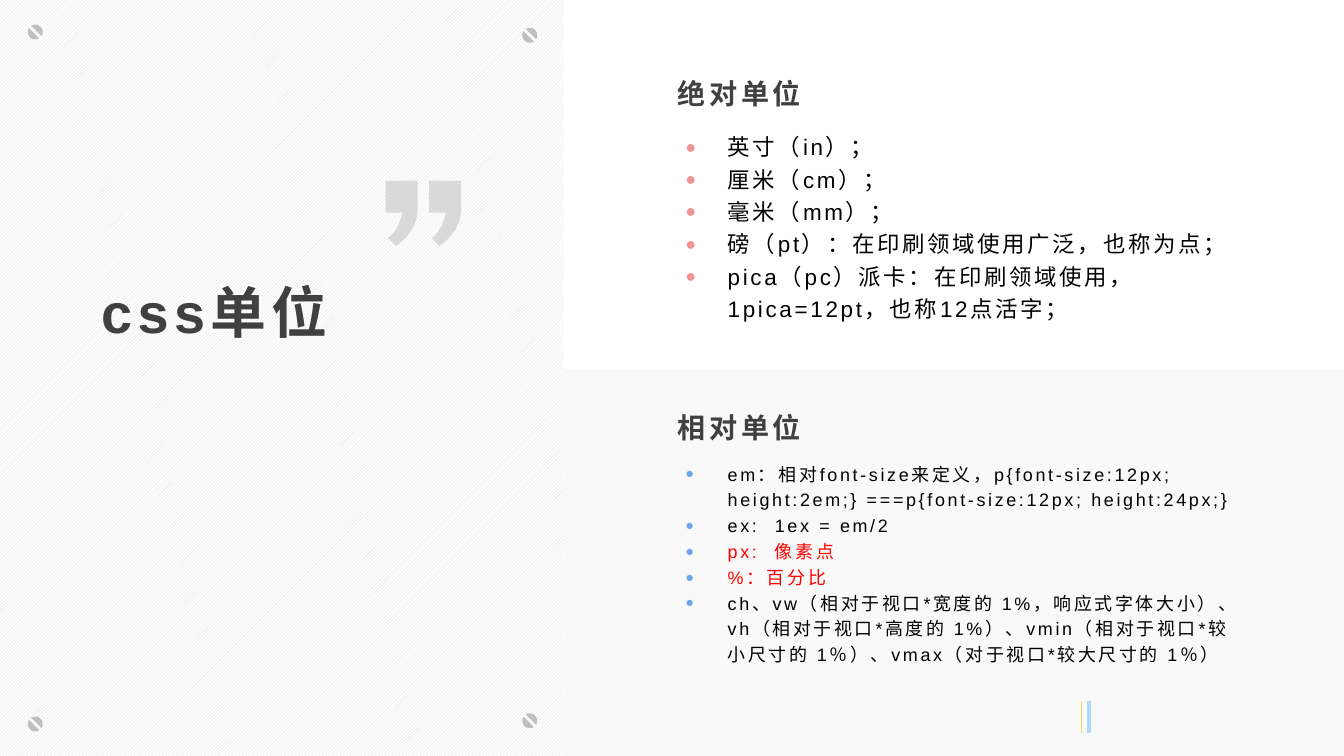
from math import cos, radians, sin

from lxml import etree
from pptx import Presentation
from pptx.dml.color import RGBColor
from pptx.enum.dml import MSO_PATTERN
from pptx.enum.shapes import MSO_CONNECTOR, MSO_SHAPE
from pptx.enum.text import MSO_ANCHOR, MSO_AUTO_SIZE, PP_ALIGN
from pptx.oxml.ns import qn
from pptx.util import Inches, Pt

RECTANGLE = MSO_SHAPE.RECTANGLE
STRAIGHT = MSO_CONNECTOR.STRAIGHT
HATCH = MSO_PATTERN.LIGHT_UPWARD_DIAGONAL
TOP = MSO_ANCHOR.TOP
LEFT = PP_ALIGN.LEFT
NO_AUTOFIT = MSO_AUTO_SIZE.NONE

# Content
COLORS = {
    "heading": "404040", "text": "000000", "highlight": "FF0000",
    "absolute": "EE9494", "relative": "6CA5E9",
    "panel": "F2F2F2", "hatch": "D9D9D9", "white": "FFFFFF",
    "quote": "D9D9D9", "screw": "BFBFBF",
    "blue_bar": "7DCDFF", "yellow_bar": "FFC000",
}
FONT = "Arial"
TITLE = "css单位"
ABSOLUTE_UNITS = [
    ("英寸（in）；", "text"),
    ("厘米（cm）；", "text"),
    ("毫米（mm）；", "text"),
    ("磅（pt）：在印刷领域使用广泛，也称为点；", "text"),
    ("pica（pc）派卡：在印刷领域使用，1pica=12pt，也称12点活字；", "text"),
]
RELATIVE_UNITS = [
    ("em：相对font-size来定义，p{font-size:12px; height:2em;} "
     "===p{font-size:12px; height:24px;}", "text"),
    ("ex:  1ex = em/2", "text"),
    ("px:  像素点", "highlight"),
    ("%：百分比", "highlight"),
    ("ch、vw（相对于视口*宽度的 1%，响应式字体大小）、vh（相对于视口*高度的 1%）、"
     "vmin（相对于视口*较小尺寸的 1％）、vmax（对于视口*较大尺寸的 1％）", "text"),
]

# Layout in inches
WIDTH, HEIGHT = 10.49, 5.9
LEFT_PANEL_WIDTH = 4.4
LOWER_PANEL_TOP = 2.88
TEXT_LEFT, TEXT_WIDTH = 5.21, 4.62
TITLE_BOX = (0.71, 2.02, 2.99, 1.72)
# heading, heading top, items, list top, list height, text size, bullet color
SECTIONS = [
    ("绝对单位", 0.5, ABSOLUTE_UNITS, 0.96, 1.73, 12.6, "absolute"),
    ("相对单位", 3.11, RELATIVE_UNITS, 3.54, 1.87, 10.1, "relative"),
]
BARS = [(8.5, "blue_bar", 2.25), (8.44, "yellow_bar", 0.5)]
BAR_TOP, BAR_BOTTOM = 5.47, 5.72
SCREW_CENTERS = [(4.135, 0.275), (4.135, 5.625), (0.275, 0.25), (0.275, 5.65)]
SCREW_RADIUS = 0.058
QUOTE_LEFTS, QUOTE_TOP = (3.01, 3.35), 1.41


def color(name):
    return RGBColor.from_string(COLORS[name])


def add_panel(left, top, width, height):
    panel = slide.shapes.add_shape(RECTANGLE, *map(Inches, (left, top, width, height)))
    panel.shadow.inherit = False
    panel.line.fill.background()
    return panel


def add_outline(contours, color_name):
    """Draw closed contours of (x, y) inches as one shape."""
    contours = [[(Inches(x), Inches(y)) for x, y in points] for points in contours]
    builder = slide.shapes.build_freeform(*contours[0][0])
    for number, points in enumerate(contours):
        if number:
            builder.move_to(*points[0])
        builder.add_line_segments(points[1:], close=True)
    outline = builder.convert_to_shape()
    outline.shadow.inherit = False
    outline.fill.solid()
    outline.fill.fore_color.rgb = color(color_name)
    outline.line.fill.background()


def arc(center, middle_angle, half_angle=78, steps=24):
    angles = [radians(middle_angle + half_angle * (2 * i / steps - 1))
              for i in range(steps + 1)]
    return [(center[0] + SCREW_RADIUS * cos(a), center[1] + SCREW_RADIUS * sin(a))
            for a in angles]


def curve(*controls, steps=12):
    points = []
    for i in range(steps + 1):
        t = i / steps
        weights = ((1 - t) ** 3, 3 * t * (1 - t) ** 2, 3 * t * t * (1 - t), t ** 3)
        points.append(tuple(sum(w * control[axis] for w, control in zip(weights, controls))
                            for axis in (0, 1)))
    return points


def add_bullet(paragraph, color_name):
    properties = paragraph._p.get_or_add_pPr()
    properties.set("marL", str(Inches(0.39)))
    properties.set("indent", str(Inches(-0.33)))
    bullet_color = etree.SubElement(properties, qn("a:buClr"))
    etree.SubElement(bullet_color, qn("a:srgbClr"), val=COLORS[color_name])
    etree.SubElement(properties, qn("a:buSzPct"), val="80000")
    etree.SubElement(properties, qn("a:buFont"), typeface=FONT)
    etree.SubElement(properties, qn("a:buChar"), char="●")


def fill_text(placeholder, box, items, size, spacing, bold=False, bullet=None):
    """Place a placeholder above the panels and write its paragraphs."""
    slide.shapes._spTree.append(placeholder._element)
    placeholder.left, placeholder.top, placeholder.width, placeholder.height = map(Inches, box)
    frame = placeholder.text_frame
    frame.text = "\n".join(text for text, _ in items)
    frame.word_wrap = True
    frame.auto_size = NO_AUTOFIT
    frame.vertical_anchor = TOP
    frame.margin_left = frame.margin_right = Inches(0.08)
    frame.margin_top = frame.margin_bottom = Inches(0.04)
    for paragraph, (_, color_name) in zip(frame.paragraphs, items):
        paragraph.alignment = LEFT
        paragraph.line_spacing = 1.2
        paragraph.space_before = paragraph.space_after = Pt(0)
        if bullet:
            add_bullet(paragraph, bullet)
        for run in paragraph.runs:
            run.font.name = FONT
            run.font.size = Pt(size)
            run.font.bold = bold
            run.font.color.rgb = color(color_name)
            run_properties = run._r.get_or_add_rPr()
            run_properties.set("lang", "zh-CN")
            run_properties.set("spc", str(int(spacing * 100)))


presentation = Presentation()
presentation.slide_width, presentation.slide_height = Inches(WIDTH), Inches(HEIGHT)
comparison_layout = presentation.slide_layouts[4]
slide = presentation.slides.add_slide(comparison_layout)
title, *bodies = slide.placeholders

# Accent bars
for x, color_name, width in BARS:
    bar = slide.shapes.add_connector(
        STRAIGHT, Inches(x), Inches(BAR_TOP), Inches(x), Inches(BAR_BOTTOM))
    bar.line.color.rgb = color(color_name)
    bar.line.width = Pt(width)
    etree.SubElement(bar._element.spPr, qn("a:effectLst"))

# Panels
lower_panel = add_panel(LEFT_PANEL_WIDTH, LOWER_PANEL_TOP,
                        WIDTH - LEFT_PANEL_WIDTH, HEIGHT - LOWER_PANEL_TOP)
lower_panel.fill.solid()
lower_panel.fill.fore_color.rgb = color("panel")
panel_color = lower_panel._element.spPr.find(qn("a:solidFill"))[0]
etree.SubElement(panel_color, qn("a:alpha"), val="40000")

left_panel = add_panel(0, 0, LEFT_PANEL_WIDTH, HEIGHT)
left_panel.fill.patterned()
left_panel.fill.pattern = HATCH
left_panel.fill.fore_color.rgb = color("hatch")
left_panel.fill.back_color.rgb = color("white")

# Title, headings and lists
fill_text(title, TITLE_BOX, [(TITLE, "heading")], 31.4, 3, bold=True)
for section, heading_body, list_body in zip(SECTIONS, bodies[::2], bodies[1::2]):
    heading, heading_top, items, list_top, list_height, size, bullet = section
    fill_text(heading_body, (TEXT_LEFT, heading_top, TEXT_WIDTH, 0.4),
              [(heading, "heading")], 15.8, 2, bold=True)
    fill_text(list_body, (TEXT_LEFT, list_top, TEXT_WIDTH, list_height),
              items, size, 1.5, bullet=bullet)

# Corner screws: two circle segments either side of a diagonal slot
for center in SCREW_CENTERS:
    add_outline([arc(center, 135), arc(center, 315)], "screw")

# Closing quotation mark
quote_points = [
    (0, 0), (0.25, 0),
    *curve((0.25, 0.22), (0.25, 0.41), (0.08, 0.51), (0.08, 0.51)),
    *curve((0.02, 0.45), (0.02, 0.45), (0.11, 0.38), (0.13, 0.25)),
    (0, 0.25),
]
for quote_left in QUOTE_LEFTS:
    add_outline([[(quote_left + x, QUOTE_TOP + y) for x, y in quote_points]], "quote")

presentation.save("out.pptx")
